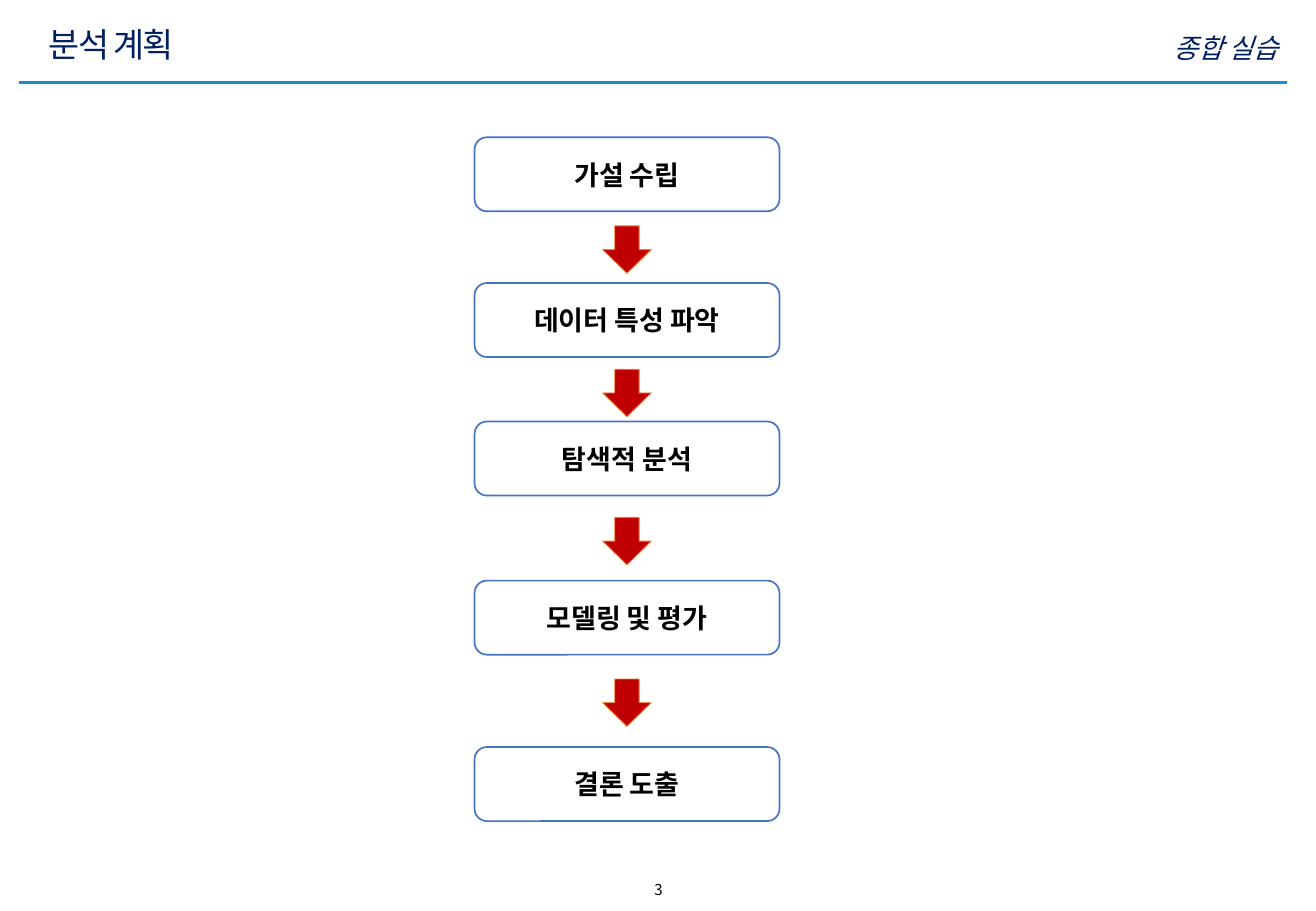
from lxml import etree
from pptx import Presentation
from pptx.dml.color import RGBColor
from pptx.enum import shapes, text
from pptx.oxml import ns
from pptx.util import Inches, Pt

# Content: each step with the top of its box, then the tops of the arrows
TITLE = "분석 계획"
SECTION = "종합 실습"
PAGE_NUMBER = "3"
STEPS = [
    ("가설 수립", 1.13),
    ("데이터 특성 파악", 2.33),
    ("탐색적 분석", 3.47),
    ("모델링 및 평가", 4.78),
    ("결론 도출", 6.15),
]
ARROW_TOPS = [1.86, 3.04, 4.26, 5.59]

FONT = "Noto Sans CJK KR"
NAVY = RGBColor(0x00, 0x20, 0x60)
SKY = RGBColor(0x18, 0x8D, 0xD0)
BLUE = RGBColor(0x44, 0x72, 0xC4)
RED = RGBColor(0xC0, 0x00, 0x00)
ORANGE = RGBColor(0xED, 0x7D, 0x31)
WHITE = RGBColor(0xFF, 0xFF, 0xFF)
BLACK = RGBColor(0x00, 0x00, 0x00)

CENTER_X = 5.16
BOX_WIDTH, BOX_HEIGHT = 2.51, 0.61
ARROW_WIDTH, ARROW_HEIGHT = 0.4, 0.39


def write(shape, words, size, color, align, bold=False, italic=False):
    frame = shape.text_frame
    frame.text = words
    frame.word_wrap = True
    frame.auto_size = text.MSO_AUTO_SIZE.NONE
    frame.vertical_anchor = text.MSO_ANCHOR.MIDDLE
    frame.margin_top = frame.margin_bottom = 0
    paragraph = frame.paragraphs[0]
    paragraph.alignment = align
    run = paragraph.runs[0]
    font = run.font
    font.name, font.size, font.bold, font.italic = FONT, Pt(size), bold, italic
    font.color.rgb = color
    # Korean glyphs take the East Asian font
    properties = run._r.get_or_add_rPr()
    etree.SubElement(properties, ns.qn("a:ea"), typeface=FONT)
    return properties


def add_centered(kind, top, width, height, fill, line, line_width):
    shape = slide.shapes.add_shape(
        kind, Inches(CENTER_X - width / 2), Inches(top), Inches(width), Inches(height))
    shape.shadow.inherit = False
    shape.fill.solid()
    shape.fill.fore_color.rgb = fill
    shape.line.color.rgb = line
    shape.line.width = Pt(line_width)
    return shape


presentation = Presentation()
presentation.slide_width = Inches(10.83)
presentation.slide_height = Inches(7.5)
slide = presentation.slides.add_slide(presentation.slide_layouts[5])

# Header: title, section name and rule
title = slide.shapes.title
title.left, title.top = Inches(0.3), Inches(0.14)
title.width, title.height = Inches(8.51), Inches(0.44)
title_properties = write(title, TITLE, 20, NAVY, text.PP_ALIGN.LEFT)
title_properties.set("spc", "-100")

section = slide.shapes.add_textbox(Inches(6.55), Inches(0.24), Inches(4.07), Inches(0.3))
write(section, SECTION, 16, NAVY, text.PP_ALIGN.RIGHT, italic=True)

rule = slide.shapes.add_connector(
    shapes.MSO_CONNECTOR.STRAIGHT, Inches(0.16), Inches(0.68), Inches(10.59), Inches(0.68))
rule.line.color.rgb = SKY
rule.line.width = Pt(2)
etree.SubElement(rule._element.spPr, ns.qn("a:effectLst"))

# Flow: step boxes and the arrows between them
for step, top in STEPS:
    box = add_centered(shapes.MSO_SHAPE.ROUNDED_RECTANGLE, top,
                       BOX_WIDTH, BOX_HEIGHT, WHITE, BLUE, 1)
    write(box, step, 16, BLACK, text.PP_ALIGN.CENTER, bold=True)

for top in ARROW_TOPS:
    add_centered(shapes.MSO_SHAPE.DOWN_ARROW, top,
                 ARROW_WIDTH, ARROW_HEIGHT, RED, ORANGE, 0.5)

# Footer: page number
page = slide.shapes.add_textbox(Inches(4.39), Inches(7.2), Inches(2.06), Inches(0.25))
write(page, PAGE_NUMBER, 8.9, BLACK, text.PP_ALIGN.CENTER)

presentation.save("out.pptx")
